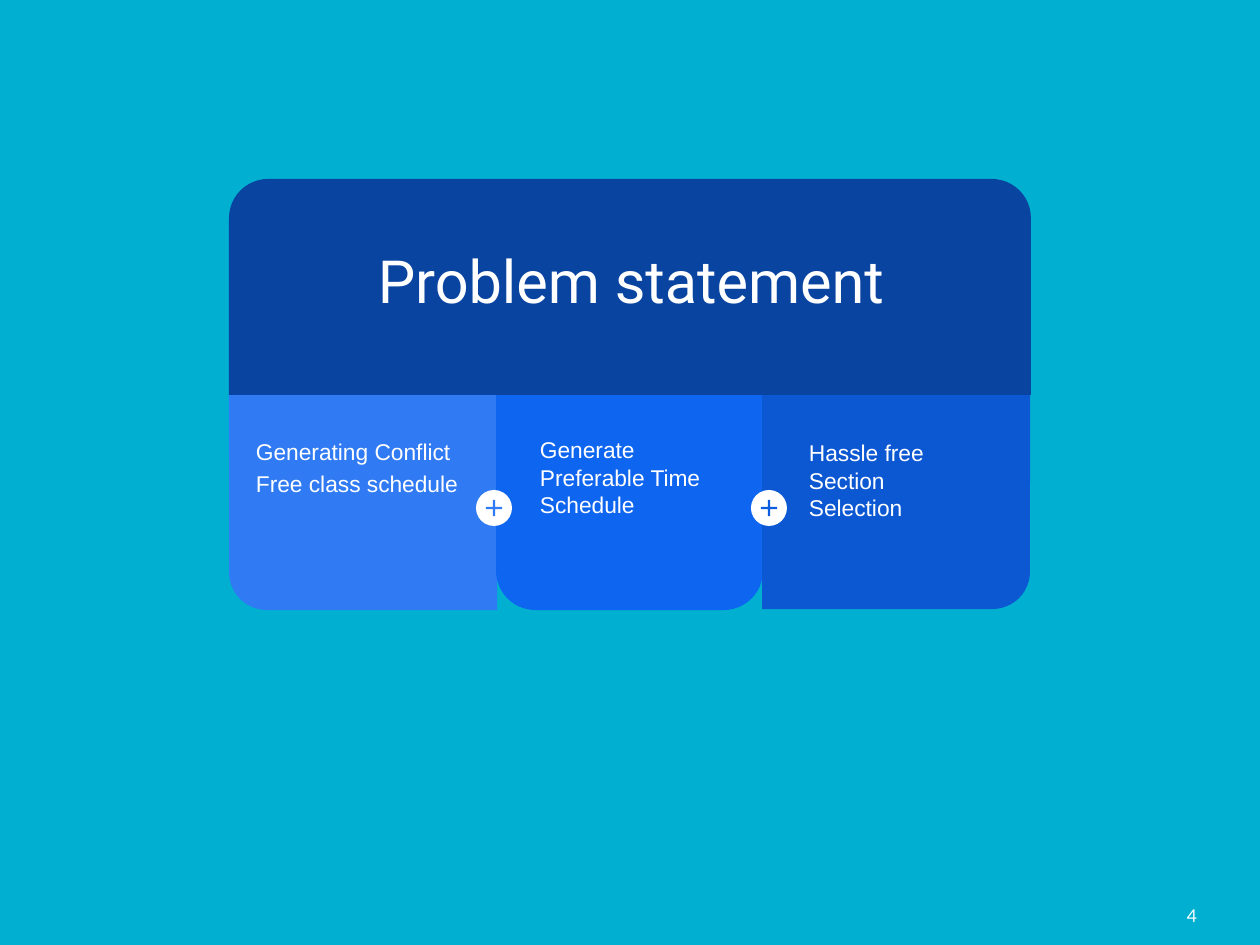
from dataclasses import dataclass

from pptx import Presentation
from pptx import util as u
from pptx.dml.color import RGBColor
from pptx.enum import shapes, text

PX_PER_INCH = 126
COLORS = {
    "background": "01AFD1",
    "header": "0944A1",
    "conflict": "307BF3",
    "preference": "0E65F0",
    "section": "0C58D3",
    "section_plus": "0D5DDF",
    "white": "FFFFFF",
}
SHAPE = shapes.MSO_SHAPE
ALIGN = text.PP_ALIGN
ANCHOR = text.MSO_ANCHOR


@dataclass(frozen=True)
class Box:
    left: int
    top: int
    width: int
    height: int

    def emu(self) -> list[u.Emu]:
        lengths = (self.left, self.top, self.width, self.height)
        return [px(length) for length in lengths]


@dataclass(frozen=True)
class Card:
    box: Box
    preset: SHAPE
    adjustments: tuple[float, ...]
    flipped: bool
    color: str
    text_box: Box
    wording: str
    line_spacing: float = 1.0


@dataclass(frozen=True)
class Badge:
    left: int
    color: str


CARDS = [
    Card(Box(229, 393, 268, 217), SHAPE.ROUND_1_RECTANGLE, (0.174,), False, "conflict",
         Box(243, 421, 249, 126), "Generating Conflict Free class schedule", 1.15),
    Card(Box(496, 393, 267, 217), SHAPE.ROUND_2_SAME_RECTANGLE, (0.181, 0), False, "preference",
         Box(527, 423, 203, 97), "Generate Preferable Time Schedule"),
    Card(Box(762, 394, 268, 215), SHAPE.ROUND_1_RECTANGLE, (0.174,), True, "section",
         Box(796, 426, 200, 96), "Hassle free Section Selection"),
]
BADGES = [Badge(476, "conflict"), Badge(751, "section_plus")]
BADGE_TOP, BADGE_SIZE, PLUS_SIZE = 490, 36, 22


def px(length: int) -> u.Emu:
    return u.Emu(round(length * u.Inches(1) / PX_PER_INCH))


def rgb(name: str) -> RGBColor:
    return RGBColor.from_string(COLORS[name])


def add_filled(slide, preset: SHAPE, box: Box, color: str, adjustments=()):
    shape = slide.shapes.add_shape(preset, *box.emu())
    shape.shadow.inherit = False
    shape.fill.solid()
    shape.fill.fore_color.rgb = rgb(color)
    shape.line.fill.background()
    for index, value in enumerate(adjustments):
        shape.adjustments[index] = value
    return shape


def write(shape, wording: str, size: int, font: str, inset: int = 13,
          align: ALIGN = ALIGN.LEFT, anchor: ANCHOR = ANCHOR.TOP):
    """Fill the shape with one white paragraph and return that paragraph."""
    frame = shape.text_frame
    frame.word_wrap = True
    frame.auto_size = text.MSO_AUTO_SIZE.NONE
    frame.vertical_anchor = anchor
    frame.margin_left = frame.margin_right = px(inset)
    frame.margin_top = frame.margin_bottom = px(inset)
    paragraph = frame.paragraphs[0]
    paragraph.text = wording
    paragraph.alignment = align
    paragraph.font.size = u.Pt(size)
    paragraph.font.name = font
    paragraph.font.color.rgb = rgb("white")
    return paragraph


def add_card(slide, card: Card) -> None:
    panel = add_filled(slide, card.preset, card.box, card.color, card.adjustments)
    panel.rotation = 180
    if card.flipped:
        panel.element.spPr.xfrm.set("flipH", "1")
    label = slide.shapes.add_textbox(*card.text_box.emu())
    paragraph = write(label, card.wording, 13, "Arial")
    paragraph.line_spacing = card.line_spacing


def add_badge(slide, badge: Badge) -> None:
    circle = Box(badge.left, BADGE_TOP, BADGE_SIZE, BADGE_SIZE)
    add_filled(slide, SHAPE.OVAL, circle, "white")
    inset = (BADGE_SIZE - PLUS_SIZE) // 2
    plus = Box(badge.left + inset, BADGE_TOP + inset, PLUS_SIZE, PLUS_SIZE)
    add_filled(slide, SHAPE.MATH_PLUS, plus, badge.color, (0.099,))


def add_header(slide) -> None:
    add_filled(slide, SHAPE.ROUND_2_SAME_RECTANGLE, Box(229, 179, 802, 216),
               "header", (0.181, 0))
    title = slide.shapes.title
    title.left, title.top, title.width, title.height = Box(357, 231, 548, 120).emu()
    write(title, "Problem statement", 34, "Roboto", align=ALIGN.CENTER)
    # The placeholder starts at the back; bring it in front of the panel.
    slide.shapes.element.append(title.element)


def main() -> None:
    presentation = Presentation()
    presentation.slide_width = u.Inches(10)
    presentation.slide_height = u.Inches(7.5)
    slide = presentation.slides.add_slide(presentation.slide_layouts[5])
    slide.background.fill.solid()
    slide.background.fill.fore_color.rgb = rgb("background")

    page_number = slide.shapes.add_textbox(*Box(1092, 876, 105, 50).emu())
    write(page_number, "4", 10, "Lato", 0, ALIGN.RIGHT, ANCHOR.BOTTOM)
    for card in CARDS:
        add_card(slide, card)
    for badge in BADGES:
        add_badge(slide, badge)
    add_header(slide)
    presentation.save("out.pptx")


if __name__ == "__main__":
    main()
